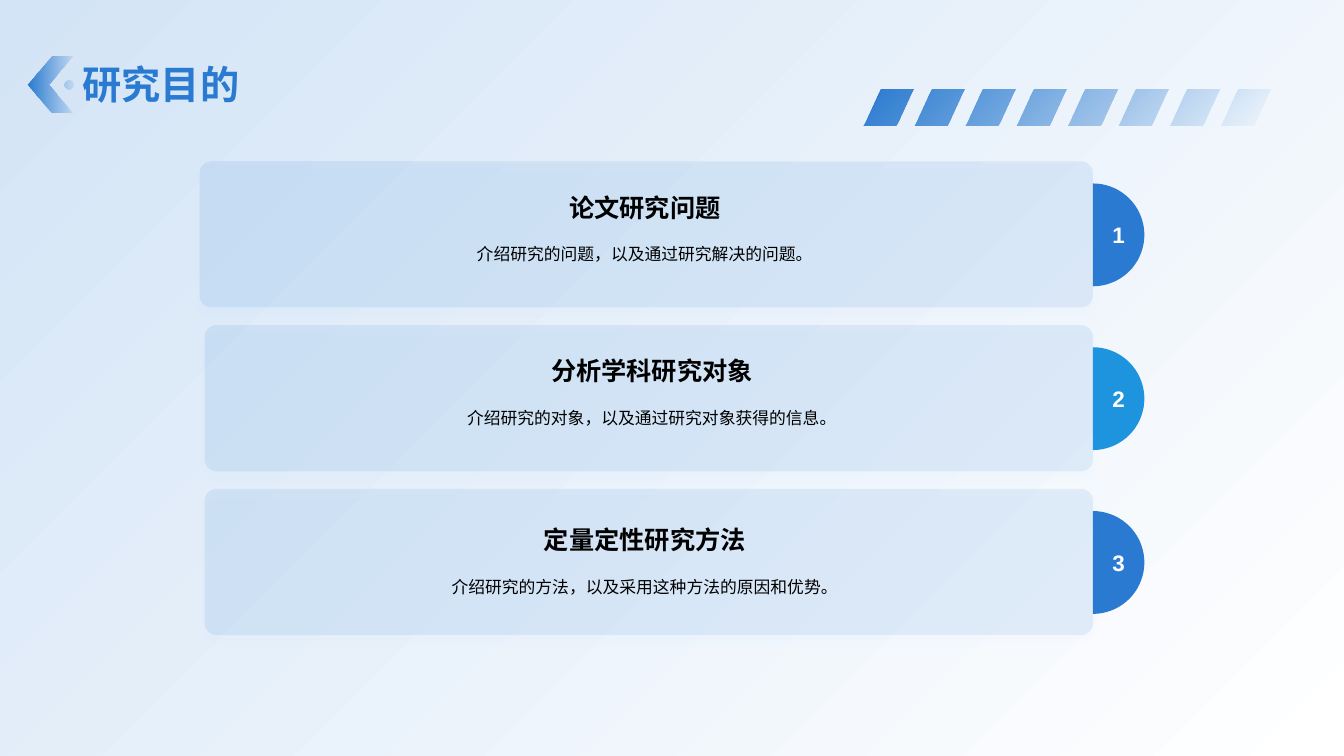
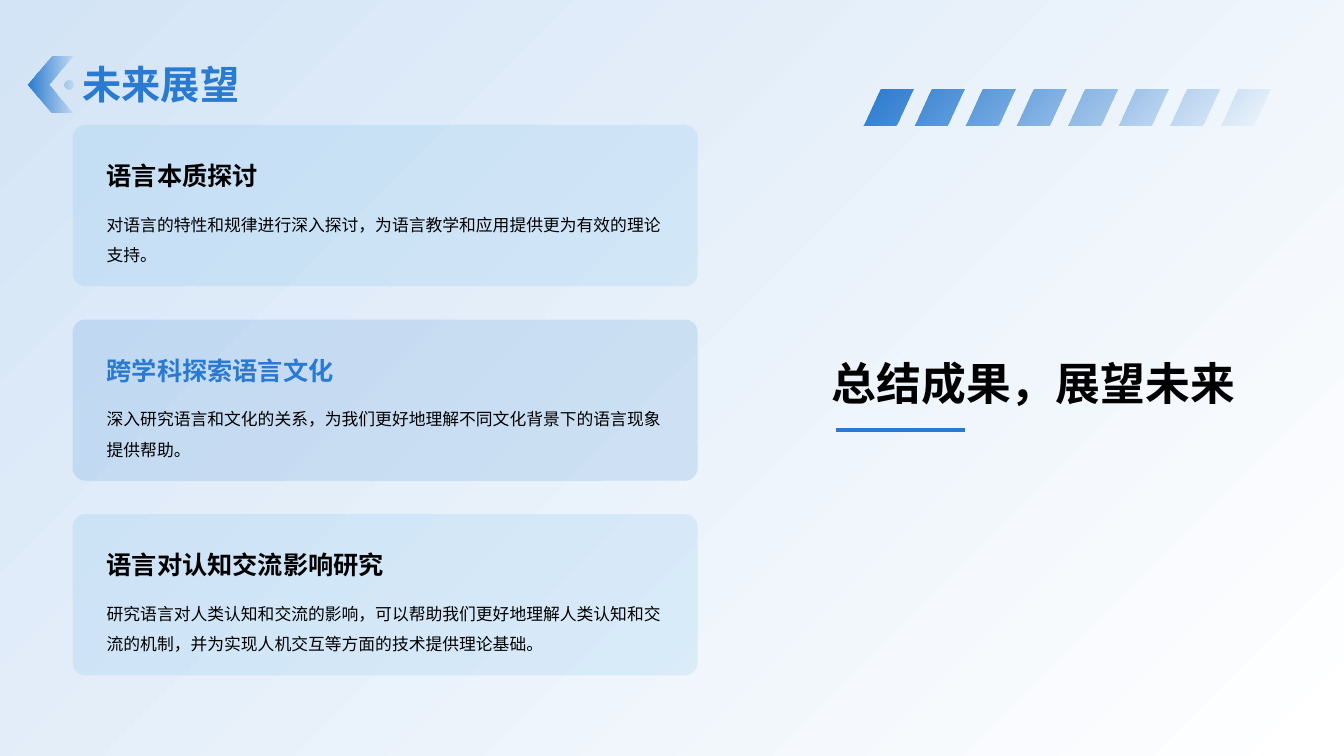
from math import cos, radians, sin

from lxml import etree
from pptx import Presentation
from pptx.dml.color import RGBColor
from pptx.enum import lang, shapes, text
from pptx.oxml.ns import qn
from pptx.util import Inches, Pt

# Shared look
FONT = "Arial"
BLUE, SKY, BLACK, WHITE = "297AD0", "1F94DE", "000000", "FFFFFF"
PALE, GLOW = "D3E4F6", "74C2FF"
LEFT, CENTER = text.PP_ALIGN.LEFT, text.PP_ALIGN.CENTER
TOP, MIDDLE, BOTTOM = (text.MSO_ANCHOR.TOP, text.MSO_ANCHOR.MIDDLE,
                       text.MSO_ANCHOR.BOTTOM)

# Content: number, bubble colour, card left, text left, text drop, heading, body
PURPOSE_TITLE = "研究目的"
PURPOSES = [
    ("1", BLUE, 1.98, 2.22, 0.22, "论文研究问题",
     "介绍研究的问题，以及通过研究解决的问题。"),
    ("2", SKY, 2.03, 2.29, 0.22, "分析学科研究对象",
     "介绍研究的对象，以及通过研究对象获得的信息。"),
    ("3", BLUE, 2.03, 2.22, 0.27, "定量定性研究方法",
     "介绍研究的方法，以及采用这种方法的原因和优势。"),
]

# Content: card colour, opacity, heading colour, heading, body
OUTLOOK_TITLE = "未来展望"
OUTLOOK_SUMMARY = "总结成果，展望未来"
OUTLOOKS = [
    (SKY, 10, BLACK, "语言本质探讨",
     "对语言的特性和规律进行深入探讨，为语言教学和应用提供更为有效的理论支持。"),
    (BLUE, 15, BLUE, "跨学科探索语言文化",
     "深入研究语言和文化的关系，为我们更好地理解不同文化背景下的语言现象提供帮助。"),
    (SKY, 10, BLACK, "语言对认知交流影响研究",
     "研究语言对人类认知和交流的影响，可以帮助我们更好地理解人类认知和交流的机制，"
     "并为实现人机交互等方面的技术提供理论基础。"),
]


def color(hex_value):
    return RGBColor.from_string(hex_value)


def set_alpha(color_element, percent):
    etree.SubElement(color_element, qn("a:alpha"), val=str(percent * 1000))


def fill_solid(shape, hex_value, opacity=100):
    shape.fill.solid()
    shape.fill.fore_color.rgb = color(hex_value)
    if opacity < 100:
        set_alpha(shape._element.spPr.find(qn("a:solidFill"))[0], opacity)


def fill_gradient(fill, start, end, end_opacity, angle):
    fill.gradient()
    fill.gradient_angle = 360 - angle
    first, last = fill.gradient_stops
    first.color.rgb, last.color.rgb = color(start), color(end)
    set_alpha(last._gs[0], end_opacity)


def write(frame, words, size, hex_value, bold=False, align=LEFT, anchor=TOP,
          spacing=None):
    frame.word_wrap = True
    frame.vertical_anchor = anchor
    paragraph = frame.paragraphs[0]
    paragraph.alignment = align
    if spacing:
        paragraph.line_spacing = spacing
    run = paragraph.add_run()
    run.text = words
    font = run.font
    font.size, font.bold, font.name = Pt(size), bold, FONT
    font.language_id = lang.MSO_LANGUAGE_ID.SIMPLIFIED_CHINESE
    font.color.rgb = color(hex_value)
    etree.SubElement(run._r.rPr, qn("a:ea"), typeface=FONT)


def add_text(slide, box, *args, **style):
    textbox = slide.shapes.add_textbox(*map(Inches, box))
    write(textbox.text_frame, *args, **style)


def add_outline(slide, contours):
    """Draw closed contours, given in inches, as one freeform."""
    contours = [[(Inches(x), Inches(y)) for x, y in points] for points in contours]
    builder = slide.shapes.build_freeform(*contours[0][0])
    for points in contours:
        builder.move_to(*points[0])
        builder.add_line_segments(points[1:], close=True)
    shape = builder.convert_to_shape()
    shape.shadow.inherit = False
    shape.line.fill.background()
    return shape


def arc(x, y, radius, start, end, step=5):
    return [(x + radius * cos(radians(angle)), y + radius * sin(radians(angle)))
            for angle in range(start, end + 1, step)]


def add_card(slide, box, hex_value, opacity, shadow=False):
    card = slide.shapes.add_shape(shapes.MSO_SHAPE.ROUNDED_RECTANGLE,
                                  *map(Inches, box))
    card.adjustments[0] = 0.08
    card.shadow.inherit = False
    card.line.fill.background()
    fill_solid(card, hex_value, opacity)
    if shadow:
        effects = card._element.spPr.find(qn("a:effectLst"))
        outer = etree.SubElement(effects, qn("a:outerShdw"), blurRad=str(Pt(4)),
                                 dist=str(Pt(4)), dir="5400000", algn="t",
                                 rotWithShape="0")
        set_alpha(etree.SubElement(outer, qn("a:srgbClr"), val=GLOW), 20)


def set_up_layout(layout, slide):
    """Put background, title place, stripes and chevron on the layout."""
    fill_gradient(layout.background.fill, PALE, WHITE, 90, 45)
    title = layout.placeholders[0]
    title.left, title.top, title.width, title.height = map(
        Inches, (0.72, 0, 11.88, 1.12))
    title.text_frame.auto_size = text.MSO_AUTO_SIZE.NONE

    # Slanted stripes
    top, bottom, pitch, width, slant = 0.89, 1.24, 0.53 * 0.953, 0.33, 0.17
    pitch = (12.27 - 8.73) / 7
    lefts = [8.73 + index * pitch for index in range(8)]
    stripes = add_outline(slide, [
        [(left, top), (left + width, top),
         (left + width - slant, bottom), (left - slant, bottom)]
        for left in lefts])
    fill_gradient(stripes.fill, BLUE, BLUE, 0, 45)

    # Chevron with dot
    chevron = add_outline(slide, [
        arc(0.68, 0.84, 0.05, 0, 350, 10),
        [(0.51, 0.56), (0.72, 0.56), (0.49, 0.84),
         (0.72, 1.12), (0.51, 1.12), (0.27, 0.84)]])
    fill_gradient(chevron.fill, BLUE, BLUE, 10, 0)

    for shape in (stripes, chevron):
        title._element.addprevious(shape._element)


def set_title(slide, words):
    write(slide.shapes.title.text_frame, words, 28, BLUE, bold=True, anchor=BOTTOM)


def build_purposes(slide):
    set_title(slide, PURPOSE_TITLE)
    right, radius = 10.84, 0.51
    for index, row in enumerate(PURPOSES):
        number, bubble_color, left, text_left, drop, heading, body = row
        top = 1.6 + index * 1.625
        bubble = add_outline(slide, [arc(right, top + 0.73, radius, -90, 90)])
        fill_solid(bubble, bubble_color)
        write(bubble.text_frame, number, 16, WHITE, bold=True, align=CENTER,
              anchor=MIDDLE)
        add_card(slide, (left, top, right - left, 1.45), BLUE, 10, shadow=True)
        add_text(slide, (text_left, top + drop + 0.51, 8.35, 0.44), body, 12, BLACK,
                 align=CENTER, spacing=1.2)
        add_text(slide, (text_left, top + drop, 8.35, 0.47), heading, 18, BLACK,
                 bold=True, align=CENTER, anchor=MIDDLE)


def build_outlook(slide):
    set_title(slide, OUTLOOK_TITLE)
    for index, row in enumerate(OUTLOOKS):
        card_color, opacity, heading_color, heading, body = row
        top = 1.24 + index * 1.93
        add_card(slide, (0.72, top, 6.2, 1.6), card_color, opacity)
        add_text(slide, (0.96, top + 0.24, 5.7, 0.46), heading, 18, heading_color,
                 bold=True, anchor=BOTTOM)
        add_text(slide, (0.96, top + 0.74, 5.7, 0.67), body, 12, BLACK, spacing=1.5)

    # Summary with underline
    add_text(slide, (8.15, 3.48, 4.44, 0.64), OUTLOOK_SUMMARY, 32, BLACK, bold=True)
    underline = slide.shapes.add_connector(
        shapes.MSO_CONNECTOR.STRAIGHT, *map(Inches, (8.29, 4.27, 9.57, 4.27)))
    underline.line.color.rgb = color(BLUE)
    underline.line.width = Pt(2.75)
    etree.SubElement(underline._element.spPr, qn("a:effectLst"))


def main():
    presentation = Presentation()
    presentation.slide_width, presentation.slide_height = Inches(13.33), Inches(7.5)
    layout = presentation.slide_layouts[5]
    purposes, outlook = (presentation.slides.add_slide(layout) for _ in range(2))
    set_up_layout(layout, purposes)
    build_purposes(purposes)
    build_outlook(outlook)
    presentation.save("out.pptx")


if __name__ == "__main__":
    main()
